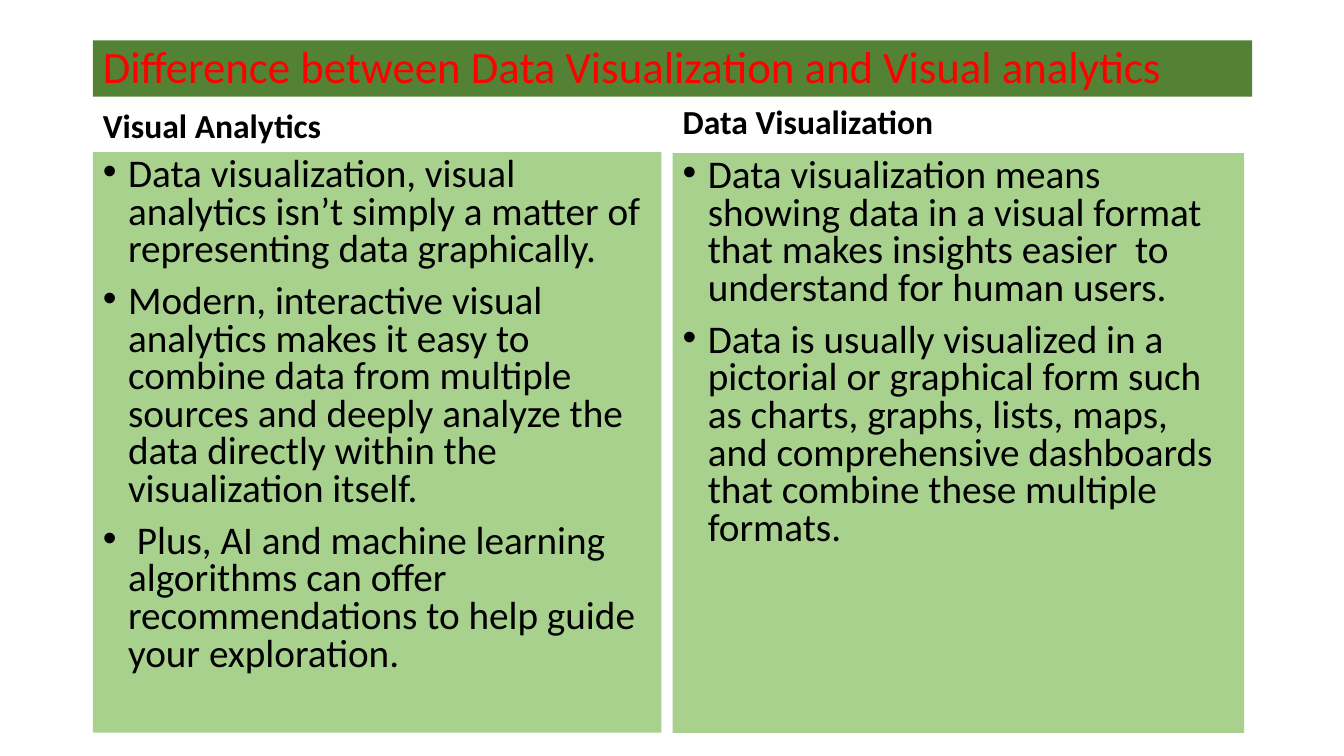
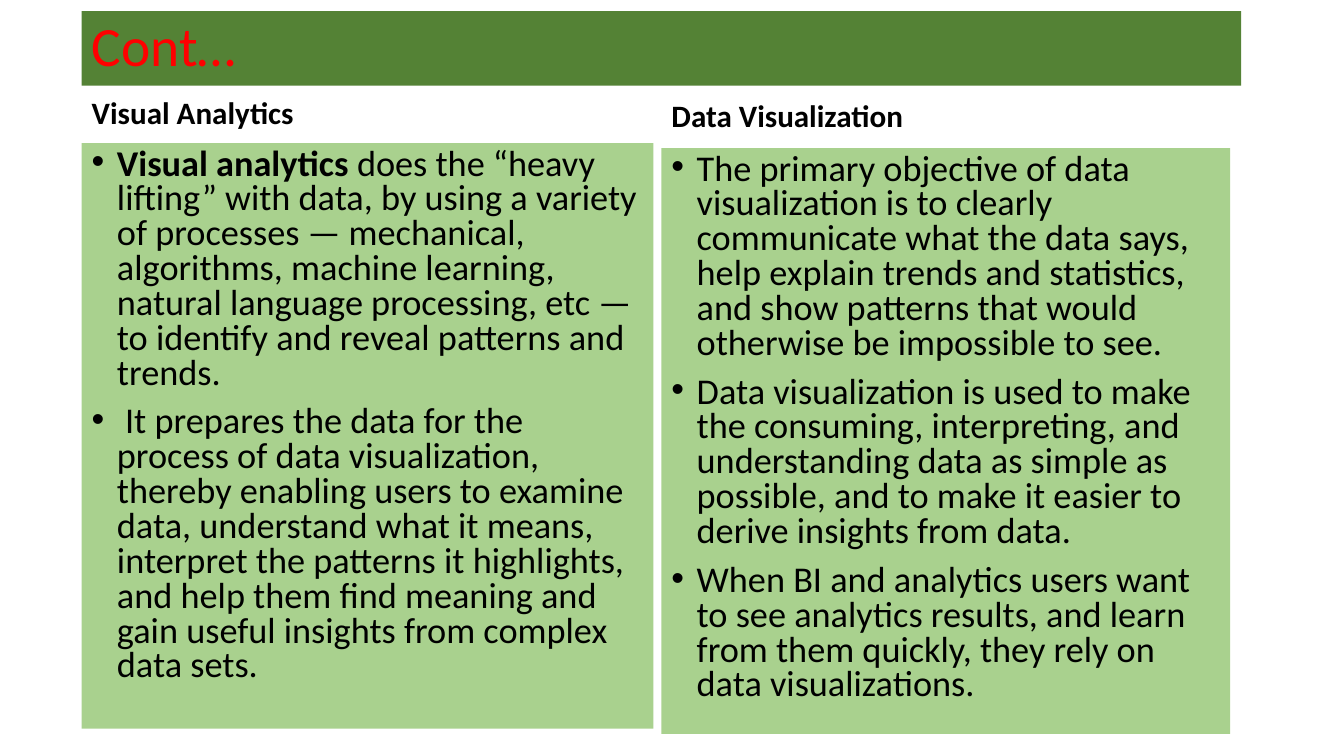
from pptx import Presentation
from pptx.dml.color import RGBColor
from pptx.enum.text import MSO_ANCHOR, MSO_AUTO_SIZE, PP_ALIGN
from pptx.oxml.ns import qn
from pptx.util import Inches, Pt
from lxml import etree

LEFT, NO_FIT = PP_ALIGN.LEFT, MSO_AUTO_SIZE.NONE
TOP, MIDDLE, BOTTOM = MSO_ANCHOR.TOP, MSO_ANCHOR.MIDDLE, MSO_ANCHOR.BOTTOM

# Shared look; sizes in points, lengths in inches
THEME = {
    "font": "Calibri",
    "band": RGBColor.from_string("548235"),
    "panel": RGBColor.from_string("A9D18E"),
    "title": RGBColor.from_string("FF0000"),
    "text": RGBColor.from_string("000000"),
    "paragraph_gap": 10,
    "bullet_indent": 0.25,
}
SLIDE_W, SLIDE_H = 13.33, 7.5
BAND_W = 11.5
COLUMN_PITCH = BAND_W / 2
COMPARISON_LAYOUT = 4

# Content; each bullet is a list of (text, bold) runs
COMPARISONS = [
    {
        "title": "Difference between Data Visualization and Visual analytics",
        "left": 0.92, "band_top": 0.4, "band_height": 0.56,
        "sizes": {"title": 32, "heading": 24, "bullets": 28},
        "heading_height": 0.46, "heading_spacing": 0.9,
        "columns": [
            {"heading": "Visual Analytics", "heading_top": 1.04,
             "panel_top": 1.51, "panel_size": (5.64, 5.76),
             "bullets": [
                 [("Data visualization, visual analytics isn’t simply a matter of "
                   "representing data graphically.", False)],
                 [("Modern, interactive visual analytics makes it easy to combine "
                   "data from multiple sources and deeply analyze the data directly "
                   "within the visualization itself.", False)],
                 [(" Plus, AI and machine learning algorithms can offer "
                   "recommendations to help guide your exploration.", False)],
             ]},
            {"heading": "Data Visualization", "heading_top": 1.0,
             "panel_top": 1.52, "panel_size": (5.67, 5.75),
             "bullets": [
                 [("Data visualization means showing data in a visual format that "
                   "makes insights easier  to understand for human users.", False)],
                 [("Data is usually visualized in a pictorial or graphical form such "
                   "as charts, graphs, lists, maps, and comprehensive dashboards "
                   "that combine these multiple formats.", False)],
             ]},
        ],
    },
    {
        "title": "Cont…",
        "left": 0.81, "band_top": 0.11, "band_height": 0.74,
        "sizes": {"title": 39.6, "heading": 22.2, "bullets": 25.9},
        "heading_height": 0.42, "heading_spacing": 0.8,
        "columns": [
            {"heading": "Visual Analytics", "heading_top": 0.92,
             "panel_top": 1.42, "panel_size": (5.67, 5.81),
             "bullets": [
                 [("Visual analytics", True),
                  (" does the “heavy lifting” with data, by using a variety of "
                   "processes — mechanical, algorithms, machine learning, natural "
                   "language processing, etc — to identify and reveal patterns and "
                   "trends.", False)],
                 [(" It prepares the data for the process of data visualization, "
                   "thereby enabling users to examine data, understand what it "
                   "means, interpret the patterns it highlights, and help them find "
                   "meaning and gain useful insights from complex data sets.", False)],
             ]},
            {"heading": "Data Visualization", "heading_top": 0.95,
             "panel_top": 1.47, "panel_size": (5.64, 5.81),
             "bullets": [
                 [("The primary objective of data visualization is to clearly "
                   "communicate what the data says, help explain trends and "
                   "statistics, and show patterns that would otherwise be "
                   "impossible to see.", False)],
                 [("Data visualization is used to make the consuming, interpreting, "
                   "and understanding data as simple as possible, and to make it "
                   "easier to derive insights from data.", False)],
                 [("When BI and analytics users want to see analytics results, and "
                   "learn from them quickly, they rely on data visualizations.",
                   False)],
             ]},
        ],
    },
]


def assign(target, values):
    for name, value in values.items():
        setattr(target, name, value)


def add_bullet(paragraph):
    indent = Inches(THEME["bullet_indent"])
    properties = paragraph._p.get_or_add_pPr()
    properties.set("marL", str(indent))
    properties.set("indent", str(-indent))
    etree.SubElement(properties, qn("a:buFont"), typeface="Arial")
    etree.SubElement(properties, qn("a:buChar"), char="•")


def fill_placeholder(holder, box, paragraphs, size, color, anchor, spacing,
                     fill=None, bulleted=False):
    """Move a placeholder to box and write its paragraphs of (text, bold) runs."""
    assign(holder, dict(zip(("left", "top", "width", "height"), map(Inches, box))))
    if fill is not None:
        holder.fill.solid()
        holder.fill.fore_color.rgb = fill
    frame = holder.text_frame
    assign(frame, {"word_wrap": True, "auto_size": NO_FIT, "vertical_anchor": anchor})
    for index, runs in enumerate(paragraphs):
        paragraph = frame.add_paragraph() if index else frame.paragraphs[0]
        gap = THEME["paragraph_gap"] if index else 0
        assign(paragraph, {"alignment": LEFT, "line_spacing": spacing,
                           "space_before": Pt(gap), "space_after": Pt(0)})
        if bulleted:
            add_bullet(paragraph)
        for text, bold in runs:
            run = paragraph.add_run()
            run.text = text
            assign(run.font, {"name": THEME["font"], "size": Pt(size), "bold": bold})
            run.font.color.rgb = color


def build_comparison(deck, content):
    slide = deck.slides.add_slide(deck.slide_layouts[COMPARISON_LAYOUT])
    sizes = content["sizes"]

    # Title band
    band = (content["left"], content["band_top"], BAND_W, content["band_height"])
    fill_placeholder(slide.shapes.title, band, [[(content["title"], False)]],
                     sizes["title"], THEME["title"], MIDDLE, 0.9, THEME["band"])

    # Heading and bullet panel of each column
    for index, column in enumerate(content["columns"]):
        left = content["left"] + index * COLUMN_PITCH
        heading, panel = (slide.placeholders[2 * index + n] for n in (1, 2))
        fill_placeholder(
            heading,
            (left, column["heading_top"], COLUMN_PITCH - 0.1, content["heading_height"]),
            [[(column["heading"], True)]], sizes["heading"], THEME["text"],
            BOTTOM, content["heading_spacing"])
        fill_placeholder(
            panel, (left, column["panel_top"], *column["panel_size"]),
            column["bullets"], sizes["bullets"], THEME["text"],
            TOP, 0.8, THEME["panel"], bulleted=True)


def main():
    deck = Presentation()
    assign(deck, {"slide_width": Inches(SLIDE_W), "slide_height": Inches(SLIDE_H)})
    for content in COMPARISONS:
        build_comparison(deck, content)
    deck.save("out.pptx")


if __name__ == "__main__":
    main()
